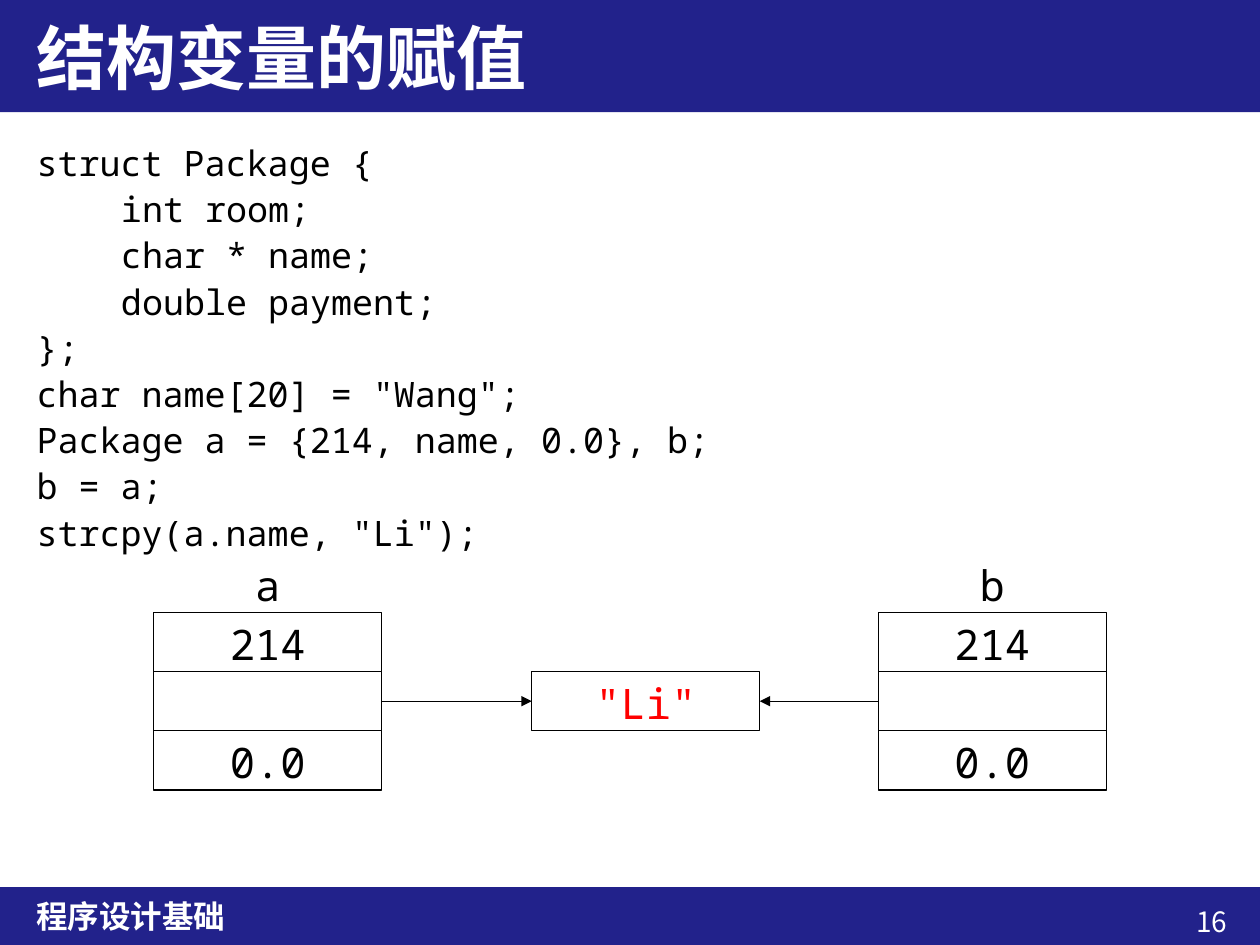
from dataclasses import dataclass

from lxml.etree import SubElement as Sub
from pptx import Presentation
from pptx.dml.color import RGBColor as RGB
from pptx.enum.shapes import MSO_CONNECTOR as Link, MSO_SHAPE as Kind
from pptx.enum.text import MSO_ANCHOR as Anchor, PP_ALIGN as Align
from pptx.oxml.ns import qn
from pptx.util import Inches, Pt

HUES = {"navy": "22228B", "white": "FFFFFF", "black": "000000", "red": "FF0000"}
SANS, MONO = "Noto Sans CJK SC", "Noto Sans Mono"
FONTS = {
    "title": {"name": SANS, "size": Pt(40), "bold": True},
    "foot": {"name": SANS, "size": Pt(18), "bold": True},
    "page": {"name": SANS, "size": Pt(16), "bold": False},
    "code": {"name": MONO, "size": Pt(20), "bold": False},
    "cell": {"name": MONO, "size": Pt(24), "bold": False},
}
LEFT, WIDE = 0.19, 9.6
CELL_W, CELL_H, TOP = 1.81, 0.47, 4.39


@dataclass
class Cell:
    left: float
    row: int
    text: str
    hue: str = "black"
    edge: bool = True


@dataclass
class Record:
    name: str
    left: float


def tint(hue: str) -> RGB:
    return RGB.from_string(HUES[hue])


def write(para, text: str, style: str, hue: str) -> None:
    run = para.add_run()
    run.text = text
    for key, value in FONTS[style].items():
        setattr(run.font, key, value)
    run.font.color.rgb = tint(hue)
    Sub(run.font._element, qn("a:ea"), typeface=FONTS[style]["name"])


def place(shape, left: float, top: float, width: float, height: float) -> None:
    box = {"left": left, "top": top, "width": width, "height": height}
    for key, value in box.items():
        setattr(shape, key, Inches(value))


def add_rect(left: float, top: float, width: float, height: float,
             fill: str, edge: bool = False):
    rect = shapes.add_shape(Kind.RECTANGLE, *map(Inches, (left, top, width, height)))
    rect.shadow.inherit = False
    rect.fill.solid()
    rect.fill.fore_color.rgb = tint(fill)
    if edge:
        rect.line.color.rgb = tint("black")
        rect.line.width = Pt(0.75)
    else:
        rect.line.fill.background()
    return rect


def add_text(left: float, top: float, width: float, height: float, text: str,
             style: str, align, anchor) -> None:
    frame = shapes.add_textbox(*map(Inches, (left, top, width, height))).text_frame
    frame.word_wrap = True
    frame.vertical_anchor = anchor
    frame.paragraphs[0].alignment = align
    write(frame.paragraphs[0], text, style, "white")


def add_cell(cell: Cell) -> None:
    rect = add_rect(cell.left, TOP + cell.row * CELL_H, CELL_W, CELL_H,
                    "white", cell.edge)
    rect.text_frame.vertical_anchor = Anchor.TOP
    if cell.text:
        para = rect.text_frame.paragraphs[0]
        para.alignment = Align.CENTER
        write(para, cell.text, "cell", cell.hue)


def add_arrow(start: float, end: float, top: float) -> None:
    arrow = shapes.add_connector(Link.STRAIGHT, *map(Inches, (start, top, end, top)))
    arrow.line.color.rgb = tint("black")
    arrow.line.width = Pt(0.75)
    Sub(arrow.line._get_or_add_ln(), qn("a:tailEnd"), type="triangle")
    Sub(arrow._element.spPr, qn("a:effectLst"))


deck = Presentation()
deck.slide_width, deck.slide_height = Inches(10), Inches(7.5)
slide = deck.slides.add_slide(deck.slide_layouts[1])
shapes = slide.shapes
title, body = shapes.title, slide.placeholders[1]

# Bars, kept behind the title
for top, height in ((7.04, 0.46), (0, 0.89)):
    bar = add_rect(-0.01, top, 10.01, height, "navy")
    shapes._spTree.remove(bar._element)
    shapes._spTree.insert(2, bar._element)

# Footer
add_text(8.59, 7.13, 1.25, 0.37, "16", "page", Align.RIGHT, Anchor.TOP)
add_text(LEFT, 7.04, WIDE, 0.46, "程序设计基础", "foot", Align.LEFT, Anchor.MIDDLE)

# Title
place(title, LEFT, 0, WIDE, 0.89)
title.text_frame.vertical_anchor = Anchor.MIDDLE
title.text_frame.paragraphs[0].alignment = Align.LEFT
write(title.text_frame.paragraphs[0], "结构变量的赋值", "title", "white")

# Code, as pairs of indent level and text
CODE = [
    (0, "struct Package {"),
    (1, "int room;"),
    (1, "char * name;"),
    (1, "double payment;"),
    (0, "};"),
    (0, 'char name[20] = "Wang";'),
    (0, "Package a = {214, name, 0.0}, b;"),
    (0, "b = a;"),
    (0, 'strcpy(a.name, "Li");'),
]
place(body, LEFT, 1.04, WIDE, 5.85)
frame = body.text_frame
frame.vertical_anchor = Anchor.TOP
for i, (level, text) in enumerate(CODE):
    para = frame.add_paragraph() if i else frame.paragraphs[0]
    para.line_spacing = 1.1
    para.space_before = para.space_after = Pt(0)
    props = para._p.get_or_add_pPr()
    props.set("marL", str(Inches(0.67 * level)))
    props.set("indent", "0")
    Sub(props, qn("a:buNone"))
    write(para, text, "code", "black")

# Records and the shared string
first, second = Record("a", 1.22), Record("b", 6.97)
for record in (first, second):
    for row, text in enumerate((record.name, "214", "", "0.0")):
        add_cell(Cell(record.left, row, text, edge=row > 0))
shared = Cell(4.22, 2, '"Li"', "red")
add_cell(shared)

# Pointers
middle = TOP + 2.5 * CELL_H
add_arrow(first.left + CELL_W, shared.left, middle)
add_arrow(second.left, shared.left + CELL_W, middle)

deck.save("out.pptx")
